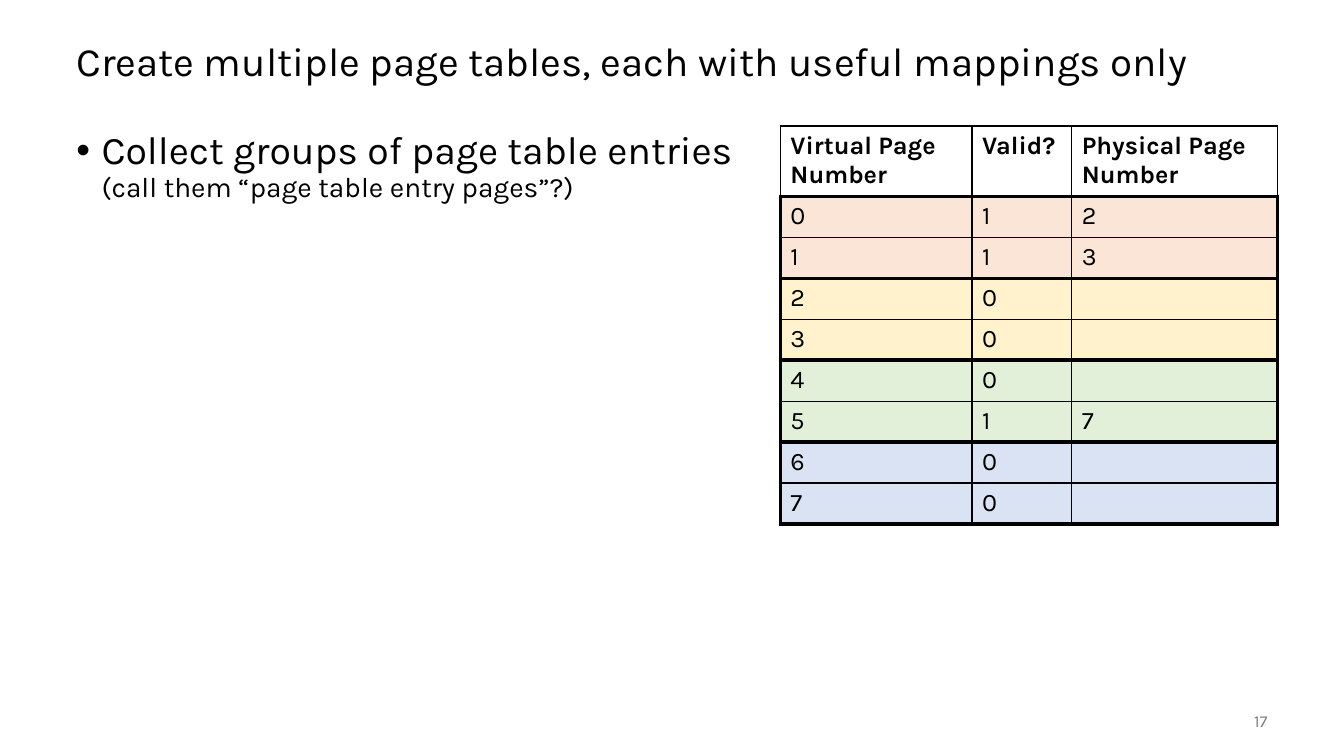
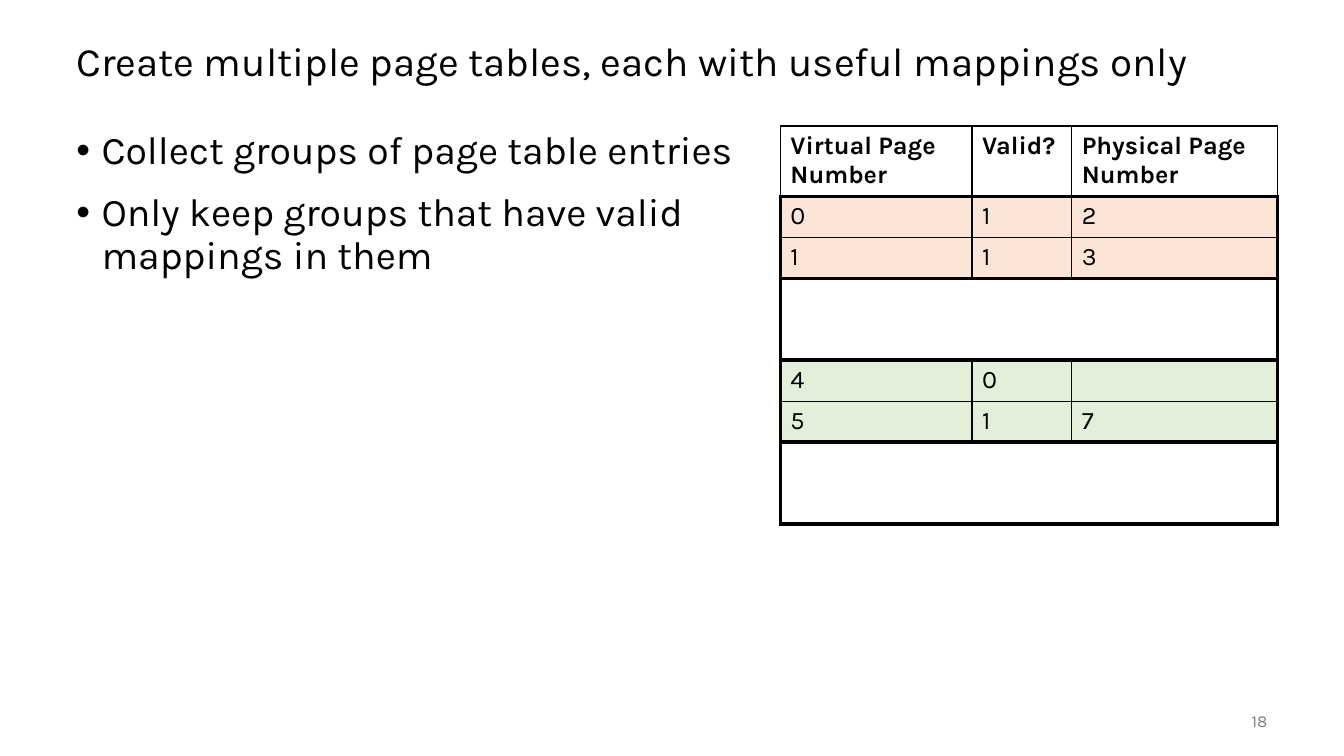
from collections import namedtuple
from dataclasses import dataclass

from lxml.etree import SubElement
from pptx import Presentation
from pptx.dml.color import RGBColor
from pptx.enum.text import MSO_ANCHOR, PP_ALIGN
from pptx.oxml.ns import qn
from pptx.util import Inches, Pt

Box = namedtuple("Box", "left top width height")
Group = namedtuple("Group", "fill rows")


@dataclass(frozen=True)
class Theme:
    font: str = "Karla"
    ink: str = "000000"
    muted: str = "808080"
    paper: str = "FFFFFF"
    peach: str = "FBE5D6"
    cream: str = "FFF2CC"
    mint: str = "E2F0D9"
    sky: str = "DAE3F3"
    title_size: float = 28.8
    bullet_size: float = 28
    aside_size: float = 20
    table_size: float = 18
    number_size: float = 12
    thin: float = 1
    thick: float = 3


THEME = Theme()

TITLE_BOX = Box(0.66, 0.25, 12, 0.75)
BULLET_BOX = Box(0.66, 1.25, 6.93, 5.5)
TABLE_BOX = Box(7.74, 1.25, 4.93, 3.93)
NUMBER_BOX = Box(11.67, 6.95, 1, 0.4)

TITLE = "Create multiple page tables, each with useful mappings only"
HEADINGS = ("Virtual Page Number", "Valid?", "Physical Page Number")
COLUMN_WIDTHS = (1.9, 0.99, 2.04)
HEADING_HEIGHT = 0.68
GROUP_SIZE = 2

PAGES_0_1 = Group(THEME.peach, (("0", "1", "2"), ("1", "1", "3")))
PAGES_2_3 = Group(THEME.cream, (("2", "0", ""), ("3", "0", "")))
PAGES_4_5 = Group(THEME.mint, (("4", "0", ""), ("5", "1", "7")))
PAGES_6_7 = Group(THEME.sky, (("6", "0", ""), ("7", "0", "")))
DROPPED = Group(THEME.paper, (("", "", ""),) * GROUP_SIZE)

COLLECT = "Collect groups of page table entries"
SLIDES = (
    (17, ((COLLECT, "(call them “page table entry pages”?)"),),
     (PAGES_0_1, PAGES_2_3, PAGES_4_5, PAGES_6_7)),
    (18, ((COLLECT, None),
          ("Only keep groups that have valid mappings in them", None)),
     (PAGES_0_1, DROPPED, PAGES_4_5, DROPPED)),
)


def style(paragraph, size, color=THEME.ink, bold=False):
    font = paragraph.font
    font.name = THEME.font
    font.size = Pt(size)
    font.bold = bold
    font.color.rgb = RGBColor.from_string(color)


def add_text_frame(slide, box, anchor):
    frame = slide.shapes.add_textbox(*map(Inches, box)).text_frame
    frame.word_wrap = True
    frame.vertical_anchor = anchor
    return frame


def add_title(slide, box, text):
    heading = add_text_frame(slide, box, MSO_ANCHOR.MIDDLE).paragraphs[0]
    heading.text = text
    heading.line_spacing = 0.9
    style(heading, THEME.title_size)


def add_page_number(slide, box, number):
    footer = add_text_frame(slide, box, MSO_ANCHOR.MIDDLE).paragraphs[0]
    footer.text = str(number)
    footer.alignment = PP_ALIGN.RIGHT
    style(footer, THEME.number_size, THEME.muted)


def add_bullets(slide, box, points):
    frame = add_text_frame(slide, box, MSO_ANCHOR.TOP)
    for index, (text, aside) in enumerate(points):
        point = frame.add_paragraph() if index else frame.paragraphs[0]
        point.line_spacing = 0.9
        if index:
            point.space_before = Pt(14)
        properties = point._p.get_or_add_pPr()
        properties.set("marL", str(Inches(0.25)))
        properties.set("indent", str(Inches(-0.25)))
        SubElement(properties, qn("a:buFont"), typeface="Arial")
        SubElement(properties, qn("a:buChar"), char="•")
        style(point, THEME.bullet_size)
        point.add_run().text = text
        if aside:
            point.add_line_break()
            remark = point.add_run()
            remark.text = aside
            remark.font.size = Pt(THEME.aside_size)


def set_borders(cell, left, right, top, bottom):
    properties = cell._tc.get_or_add_tcPr()
    for side, width in zip("LRTB", (left, right, top, bottom)):
        line = SubElement(properties, qn(f"a:ln{side}"), w=str(Pt(width)))
        if width:
            solid = SubElement(line, qn("a:solidFill"))
            SubElement(solid, qn("a:srgbClr"), val=THEME.ink)
        else:
            SubElement(line, qn("a:noFill"))


def fill_cell(cell, text, color, bold=False):
    cell.fill.solid()
    cell.fill.fore_color.rgb = RGBColor.from_string(color)
    entry = cell.text_frame.paragraphs[0]
    entry.text = text
    style(entry, THEME.table_size, bold=bold)


def add_page_table(slide, box, groups):
    thin, thick = THEME.thin, THEME.thick
    entry_count = len(groups) * GROUP_SIZE
    last = len(HEADINGS) - 1
    table = slide.shapes.add_table(
        entry_count + 1, len(HEADINGS), *map(Inches, box)).table
    table.first_row = table.horz_banding = False
    for column, width in zip(table.columns, COLUMN_WIDTHS):
        column.width = Inches(width)
    for row in table.rows:
        row.height = Inches((box.height - HEADING_HEIGHT) / entry_count)
    table.rows[0].height = Inches(HEADING_HEIGHT)

    for column, heading in enumerate(HEADINGS):
        cell = table.cell(0, column)
        set_borders(cell, thin, thin, thin, thick)
        fill_cell(cell, heading, THEME.paper, bold=True)

    for index, group in enumerate(groups):
        inner = 0 if group is DROPPED else thin
        for offset, entries in enumerate(group.rows):
            for column, text in enumerate(entries):
                cell = table.cell(1 + index * GROUP_SIZE + offset, column)
                set_borders(
                    cell,
                    left=thick if column == 0 else inner,
                    right=thick if column == last else inner,
                    top=thick if offset == 0 else inner,
                    bottom=thick if offset == GROUP_SIZE - 1 else inner)
                fill_cell(cell, text, group.fill)


def add_mapping_slide(deck, number, points, groups):
    slide = deck.slides.add_slide(deck.slide_layouts[6])
    add_title(slide, TITLE_BOX, TITLE)
    add_page_number(slide, NUMBER_BOX, number)
    add_page_table(slide, TABLE_BOX, groups)
    add_bullets(slide, BULLET_BOX, points)


def main():
    deck = Presentation()
    deck.slide_width = Inches(13.33)
    deck.slide_height = Inches(7.5)
    for number, points, groups in SLIDES:
        add_mapping_slide(deck, number, points, groups)
    deck.save("out.pptx")


if __name__ == "__main__":
    main()
